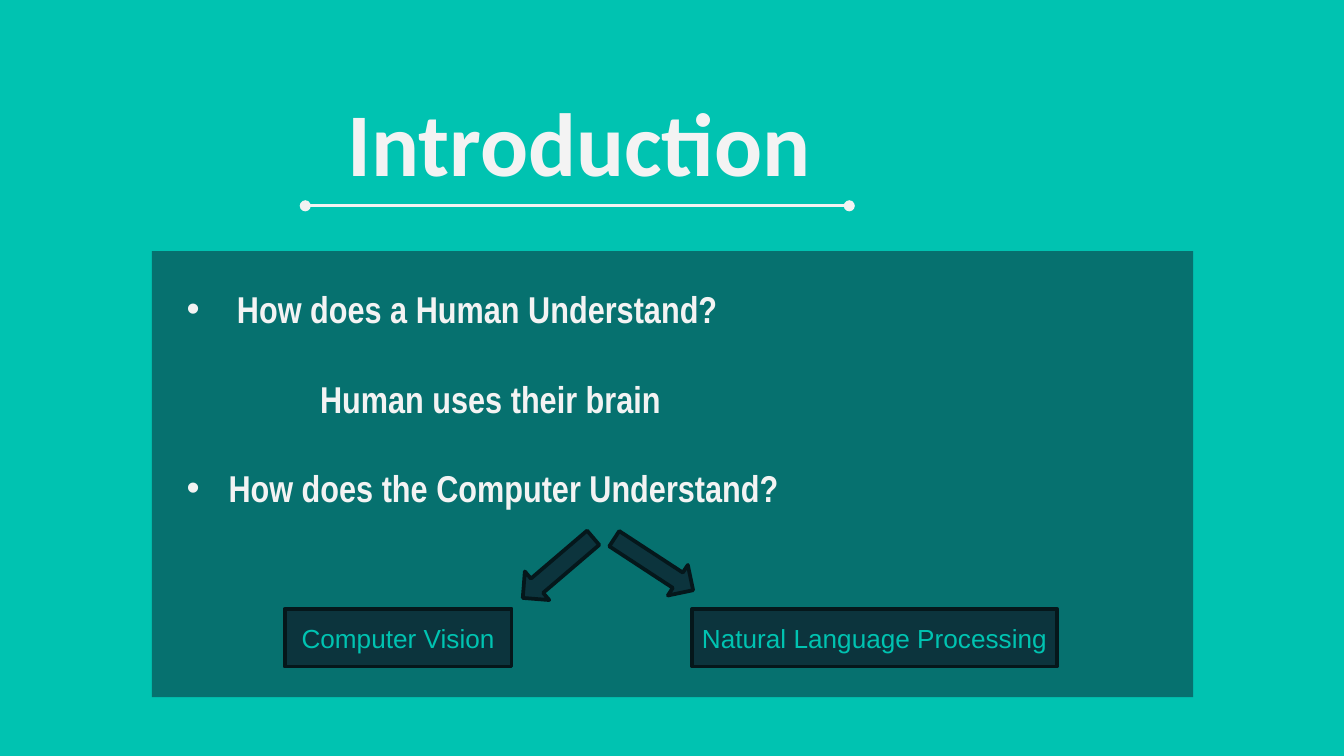
from lxml.etree import SubElement
from pptx import Presentation
from pptx.dml.color import RGBColor
from pptx.enum.shapes import MSO_CONNECTOR, MSO_SHAPE
from pptx.enum.text import MSO_ANCHOR, PP_ALIGN
from pptx.oxml.ns import qn
from pptx.util import Cm, Pt

TEAL = RGBColor(0x00, 0xC3, 0xB1)
NAVY = RGBColor(0x0C, 0x34, 0x3D)
OUTLINE = RGBColor(0x05, 0x17, 0x1B)
PALE = RGBColor(0xF3, 0xF3, 0xF3)

TITLE_FONT = {"name": "Calibri", "size": Pt(48), "bold": True}
QUESTION_FONT = {"name": "Arial Narrow", "size": Pt(20), "bold": True}
LABEL_FONT = {"name": "Arial", "size": Pt(14), "bold": False}


def set_attributes(target, values):
    for name, value in values.items():
        setattr(target, name, value)


def add_text(paragraph, text, font, color):
    run = paragraph.add_run()
    run.text = text
    set_attributes(run.font, font)
    run.font.color.rgb = color


def add_bullet(paragraph):
    properties = paragraph._p.get_or_add_pPr()
    bullet_color = SubElement(properties, qn("a:buClr"))
    SubElement(bullet_color, qn("a:srgbClr"), val=str(PALE))
    SubElement(properties, qn("a:buFont"), typeface="Arial")
    SubElement(properties, qn("a:buChar"), char="•")


def add_filled_shape(slide, kind, left, top, width, height, outlined=True):
    shape = slide.shapes.add_shape(kind, Cm(left), Cm(top), Cm(width), Cm(height))
    shape.shadow.inherit = False
    shape.fill.solid()
    shape.fill.fore_color.rgb = NAVY
    if outlined:
        shape.line.color.rgb = OUTLINE
        shape.line.width = Pt(2)
    else:
        shape.line.fill.background()
    return shape


def add_title(slide, left, top, width, height):
    box = slide.shapes.add_textbox(Cm(left), Cm(top), Cm(width), Cm(height))
    set_attributes(box.text_frame, {"word_wrap": True, "vertical_anchor": MSO_ANCHOR.MIDDLE})
    paragraph = box.text_frame.paragraphs[0]
    paragraph.alignment = PP_ALIGN.CENTER
    add_text(paragraph, "Introduction", TITLE_FONT, PALE)

    line_y = Cm(top + 2.8)
    rule = slide.shapes.add_connector(
        MSO_CONNECTOR.STRAIGHT, Cm(left + 12.37), line_y, Cm(left + 2.09), line_y)
    rule.line.color.rgb = PALE
    rule.line.width = Pt(1.5)
    properties = rule._element.spPr
    outline = properties.find(qn("a:ln"))
    for end in ("a:headEnd", "a:tailEnd"):
        SubElement(outline, qn(end), type="oval")
    SubElement(properties, qn("a:effectLst"))


def add_questions(slide, left, top, width, height):
    panel = add_filled_shape(slide, MSO_SHAPE.RECTANGLE, left, top, width, height, False)
    color = panel._element.spPr.find(qn("a:solidFill"))[0]
    SubElement(color, qn("a:alpha"), val="57000")
    frame = panel.text_frame
    set_attributes(frame, {
        "word_wrap": True, "vertical_anchor": MSO_ANCHOR.TOP,
        "margin_left": Cm(0.66), "margin_top": Cm(0.66),
        "margin_right": Cm(0.66), "margin_bottom": Cm(0.25)})
    lines = [
        ("How does a Human Understand?", 0.95, True),
        ("Human uses their brain", 2.52, False),
        ("How does the Computer Understand?", 0.79, True),
    ]
    for index, (text, indent, bulleted) in enumerate(lines):
        paragraph = frame.add_paragraph() if index else frame.paragraphs[0]
        paragraph.alignment = PP_ALIGN.LEFT
        if index:
            paragraph.space_before = Pt(24)
        properties = paragraph._p.get_or_add_pPr()
        properties.set("marL", str(Cm(indent)))
        if bulleted:
            properties.set("indent", str(-Cm(indent)))
            add_bullet(paragraph)
        add_text(paragraph, text, QUESTION_FONT, PALE)


def add_branches(slide, left, top, width, height):
    label_height = 1.09
    label_top = top + height - label_height
    wide_label = 6.9
    labels = [
        ("Computer Vision", left, 4.29),
        ("Natural Language Processing", left + width - wide_label, wide_label),
    ]
    for text, label_left, label_width in labels:
        label = add_filled_shape(
            slide, MSO_SHAPE.RECTANGLE, label_left, label_top, label_width, label_height)
        set_attributes(label.text_frame, {
            "word_wrap": True, "vertical_anchor": MSO_ANCHOR.MIDDLE,
            "margin_left": Cm(0.1), "margin_right": Cm(0.1)})
        paragraph = label.text_frame.paragraphs[0]
        paragraph.alignment = PP_ALIGN.CENTER
        add_text(paragraph, text, LABEL_FONT, TEAL)

    arrows = [(4.81, 0.08, 0.71, 1.75, 49.5), (6.63, 0, 0.69, 1.78, 303.2)]
    for offset_x, offset_y, arrow_width, arrow_height, rotation in arrows:
        arrow = add_filled_shape(
            slide, MSO_SHAPE.DOWN_ARROW, left + offset_x, top + offset_y,
            arrow_width, arrow_height)
        arrow.rotation = rotation


def main():
    presentation = Presentation()
    set_attributes(presentation, {"slide_width": Cm(25.4), "slide_height": Cm(14.29)})
    slide = presentation.slides.add_slide(presentation.slide_layouts[6])
    slide.background.fill.solid()
    slide.background.fill.fore_color.rgb = TEAL
    add_title(slide, 3.68, 1.09, 14.53, 3.15)
    add_questions(slide, 2.87, 4.75, 19.68, 8.43)
    add_branches(slide, 5.38, 9.78, 14.6, 2.82)
    presentation.save("out.pptx")


if __name__ == "__main__":
    main()
